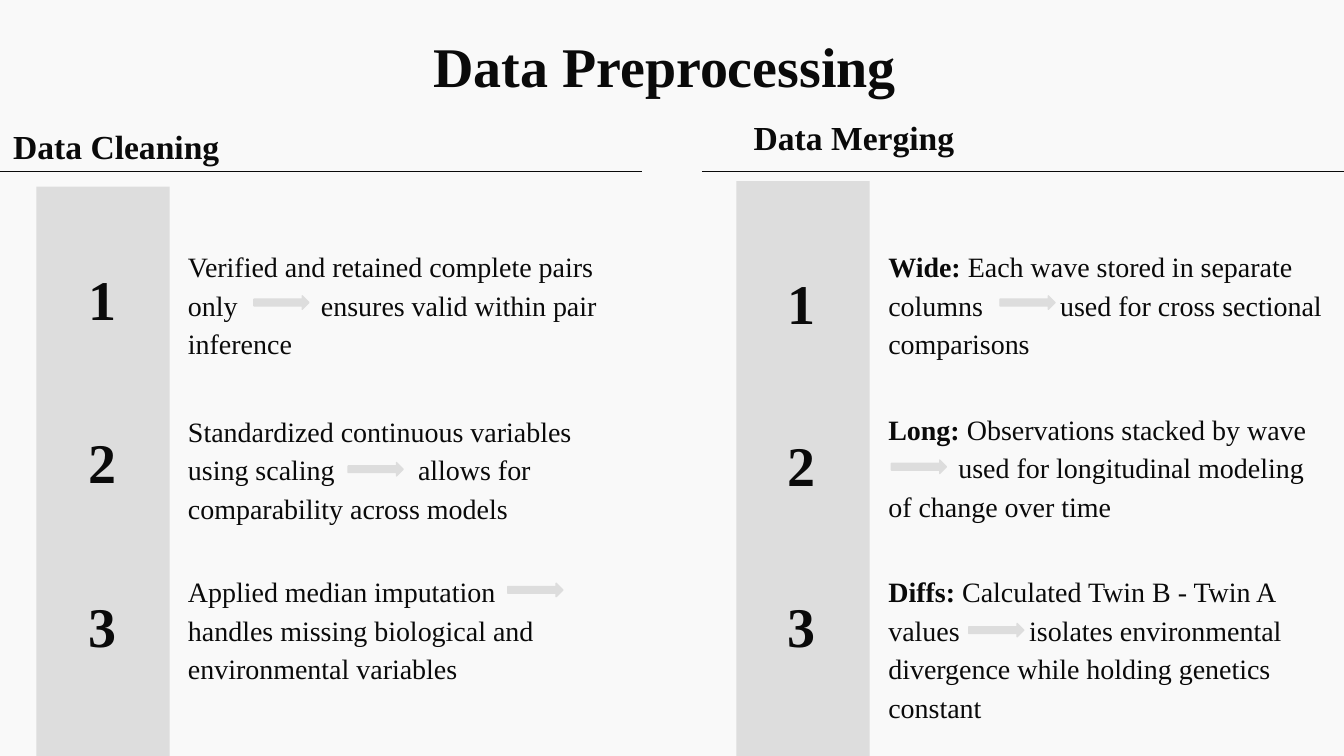
"""Build the Data Preprocessing slide with its cleaning and merging columns."""
from lxml import etree
from pptx import Presentation
from pptx.dml.color import RGBColor
from pptx.enum.shapes import MSO_CONNECTOR, MSO_SHAPE
from pptx.enum.text import MSO_ANCHOR, PP_ALIGN
from pptx.oxml.ns import qn
from pptx.util import Pt

STRAIGHT = MSO_CONNECTOR.STRAIGHT
RECTANGLE, ARROW = MSO_SHAPE.RECTANGLE, MSO_SHAPE.RIGHT_ARROW
TOP, MIDDLE = MSO_ANCHOR.TOP, MSO_ANCHOR.MIDDLE
LEFT, CENTER = PP_ALIGN.LEFT, PP_ALIGN.CENTER

COLORS = {"background": "F9F9F9", "ink": "0A0A0A", "gray": "DDDDDD"}
COLORS = {name: RGBColor.from_string(value) for name, value in COLORS.items()}
FONT = "Times New Roman"
INSET = Pt(7.2)

COLUMNS = [
    {
        "heading": "Data Cleaning", "heading_at": (0, 60.5), "rule_left": 0,
        "band_at": (19.5, 100), "number_left": 26, "text_left": 93.6,
        "steps": [
            (134.6, 123.8, 71.25, (136, 158.5),
             [("", "Verified and retained complete pairs only\tensures valid within pair inference")]),
            (221.8, 212, 123.25, (186.5, 247.8),
             [("", "Standardized continuous variables using scaling\tallows for comparability across models")]),
            (309.6, 298, 205, (272, 312.5),
             [("", "Applied median imputation\thandles missing biological and environmental variables")]),
        ],
    },
    {
        "heading": "Data Merging", "heading_at": (396.7, 55.5), "rule_left": 376,
        "band_at": (394.5, 97), "number_left": 400.4, "text_left": 468.8,
        "steps": [
            (136.8, 123.8, 92, (535.7, 158.5),
             [("Wide: ", "Each wave stored in separate columns\tused for cross sectional comparisons")]),
            (223.2, 211, 37.5, (477.5, 246.5),
             [("Long: ", "Observations stacked by wave"),
              ("", "\tused for longitudinal modeling of change over time")]),
            (309.6, 298, 75.5, (519, 334),
             [("Diffs: ", "Calculated Twin B - Twin A values\tisolates environmental divergence while holding genetics constant")]),
        ],
    },
]


def add_text(area, paragraphs, size, align=LEFT, anchor=TOP, spacing=1.0, stop=None):
    box = page.shapes.add_textbox(*(Pt(length) for length in area))
    frame = box.text_frame
    frame.word_wrap = True
    frame.vertical_anchor = anchor
    frame.margin_left = frame.margin_right = INSET
    frame.margin_top = frame.margin_bottom = INSET
    for index, (label, text) in enumerate(paragraphs):
        para = frame.add_paragraph() if index else frame.paragraphs[0]
        if stop:
            tabs = etree.SubElement(para._p.get_or_add_pPr(), qn("a:tabLst"))
            etree.SubElement(tabs, qn("a:tab"), pos=str(Pt(stop)), algn="l")
        para.alignment = align
        para.line_spacing = spacing
        for content, bold in ((label, True), (text, False)):
            if content:
                span = para.add_run()
                span.text = content
                span.font.name = FONT
                span.font.size = Pt(size)
                span.font.bold = bold
                span.font.color.rgb = COLORS["ink"]


def add_gray_shape(shapes, kind, area):
    shape = shapes.add_shape(kind, *(Pt(length) for length in area))
    shape.shadow.inherit = False
    shape.fill.solid()
    shape.fill.fore_color.rgb = COLORS["gray"]
    return shape


deck = Presentation()
deck.slide_width, deck.slide_height = Pt(720), Pt(405)
page = deck.slides.add_slide(deck.slide_layouts[6])
page.background.fill.solid()
page.background.fill.fore_color.rgb = COLORS["background"]

add_text((52.4, 9.5, 607.5, 43), [("Data Preprocessing", "")], 30, CENTER)

for column in COLUMNS:
    group = page.shapes.add_group_shape()
    band_left, band_top = column["band_at"]
    band = add_gray_shape(group.shapes, RECTANGLE, (band_left, band_top, 71.5, 405 - band_top))
    band.line.fill.background()

    rule_left = column["rule_left"]
    rule = group.shapes.add_connector(STRAIGHT, Pt(rule_left), Pt(92), Pt(rule_left + 344), Pt(92))
    rule.line.color.rgb = COLORS["ink"]
    rule.line.width = Pt(0.75)
    etree.SubElement(rule._element.spPr, qn("a:effectLst"))

    add_text((*column["heading_at"], 323.2, 36.7), [(column["heading"], "")], 18)

    for number, step in enumerate(column["steps"], 1):
        number_top, text_top, stop, arrow_at, paragraphs = step
        add_text((column["number_left"], number_top, 58.3, 50.4),
                 [(str(number), "")], 30, CENTER, MIDDLE)
        add_text((column["text_left"], text_top, 251.3, 73.4),
                 paragraphs, 15, spacing=1.15, stop=stop)
        arrow = add_gray_shape(page.shapes, ARROW, (*arrow_at, 29.5, 7.2))
        arrow.line.color.rgb = COLORS["gray"]
        arrow.line.width = Pt(0.75)

deck.save("out.pptx")
